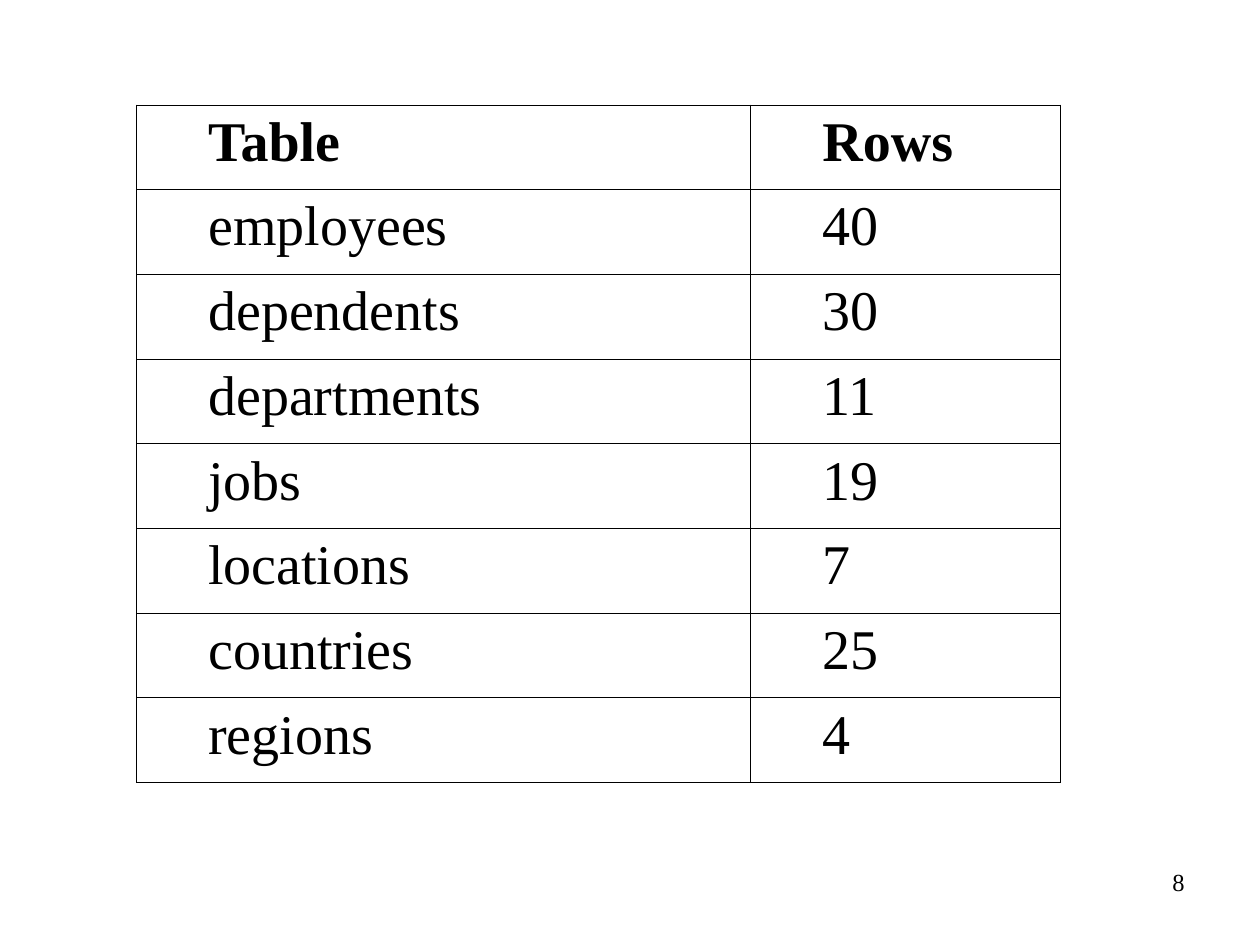
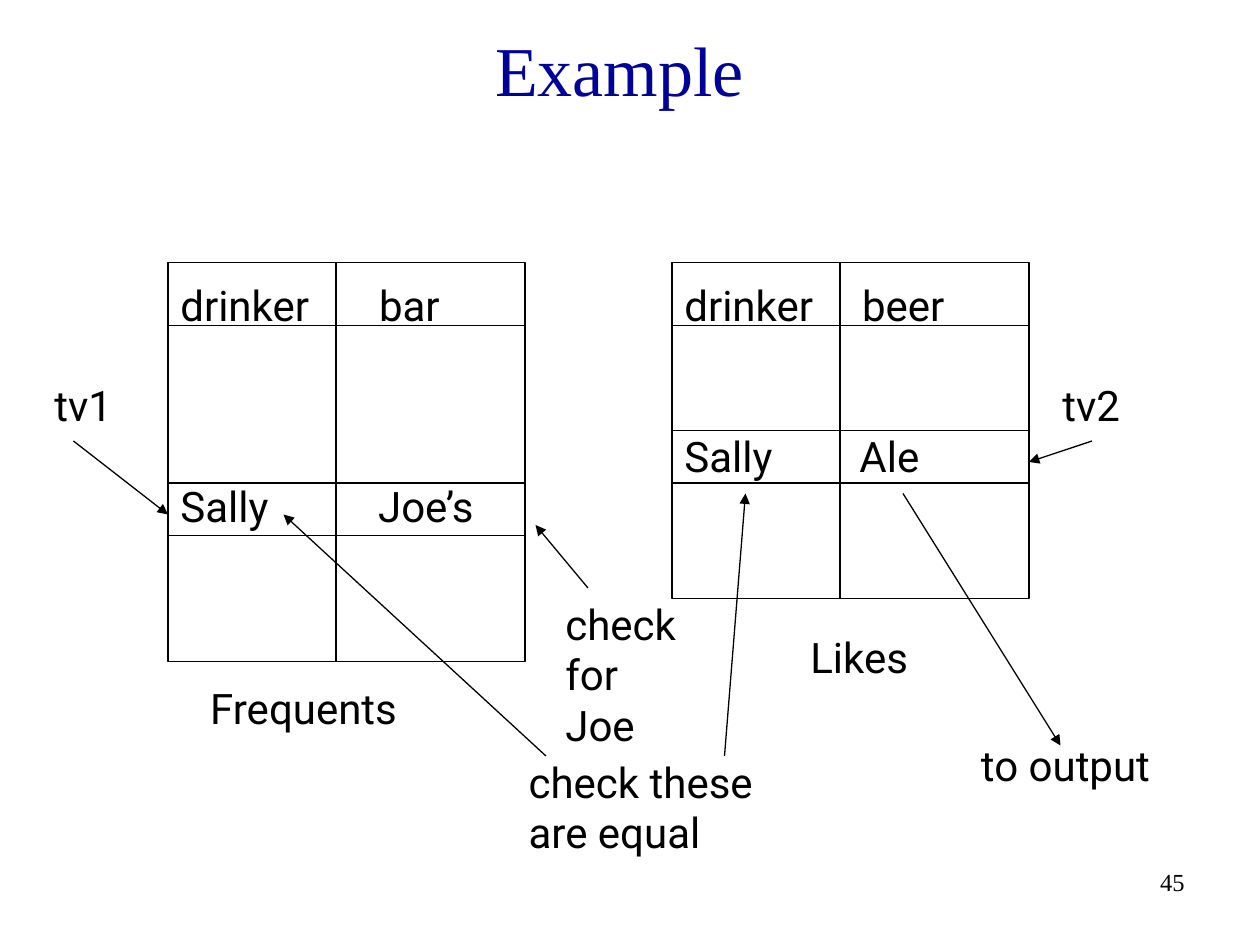
from lxml import etree
from pptx import Presentation
from pptx.dml.color import RGBColor
from pptx.enum import shapes, text
from pptx.oxml import ns
from pptx.util import Pt

BLACK, NAVY = "000000", "000099"
SERIF, SANS = "Times New Roman", "Roboto"
LINE_PITCH = 28.8

TABLE_ROWS = [
    ("Table", "Rows"),
    ("employees", "40"),
    ("dependents", "30"),
    ("departments", "11"),
    ("jobs", "19"),
    ("locations", "7"),
    ("countries", "25"),
    ("regions", "4"),
]

# FIELD_LINES: blank lines above, text before the first tab, (tab stop, text) pairs
FIELD_LINES = [
    (0, "", [(72, "drinker"), (185.5, "bar"), (360, "drinker"), (461.5, "beer")]),
    (1, "tv1", [(576, "tv2")]),
    (0, "", [(360, "Sally"), (460, "Ale")]),
    (0, "", [(72, "Sally"), (185, "Joe’s")]),
    (2, "", [(432, "Likes")]),
    (0, "", [(89, "Frequents")]),
]

ARROWS = [
    (42, 252, 96, 294),
    (624, 252, 588, 264),
    (516, 282, 606, 426),
    (312, 432, 162, 294),
    (414, 432, 426, 282),
    (336, 336, 306, 300),
]


def color(hex_code):
    return RGBColor.from_string(hex_code)


def add_xml(parent, tag, **attrs):
    return etree.SubElement(parent, ns.qn(tag), **attrs)


def add_run(p, words, font, size, hex_code=BLACK, bold=False):
    r = p.add_run()
    r.text = words
    r.font.name, r.font.size, r.font.bold = font, Pt(size), bold
    r.font.color.rgb = color(hex_code)


def add_box(s, x, y, w, h):
    tf = s.shapes.add_textbox(Pt(x), Pt(y), Pt(w), Pt(h)).text_frame
    tf.word_wrap = True
    return tf


def add_lines(s, x, y, w, h, lines, font=SANS, size=24, hex_code=BLACK,
              align=text.PP_ALIGN.LEFT, anchor=text.MSO_ANCHOR.TOP):
    tf = add_box(s, x, y, w, h)
    tf.vertical_anchor = anchor
    for i, line in enumerate(lines):
        p = tf.add_paragraph() if i else tf.paragraphs[0]
        p.alignment = align
        add_run(p, line, font, size, hex_code)


def add_page_number(s, number):
    add_lines(s, 534, 492, 150, 36, [number], SERIF, 14, align=text.PP_ALIGN.RIGHT)


def add_title(s, words):
    add_lines(s, 12, 12, 684, 54, [words], SERIF, 40, NAVY,
              text.PP_ALIGN.CENTER, text.MSO_ANCHOR.MIDDLE)


def add_tabbed_lines(s, x, y, w, h, lines):
    tf = add_box(s, x, y, w, h)
    for i, (blanks, lead, stops) in enumerate(lines):
        p = tf.add_paragraph() if i else tf.paragraphs[0]
        tabs = add_xml(p._p.get_or_add_pPr(), "a:tabLst")
        for pos, _ in stops:
            add_xml(tabs, "a:tab", pos=str(Pt(pos)), algn="l")
        if blanks:
            p.space_before = Pt(blanks * LINE_PITCH)
        add_run(p, "\t".join([lead] + [words for _, words in stops]), SANS, 24)


def add_line(s, x1, y1, x2, y2, arrow=False):
    c = s.shapes.add_connector(shapes.MSO_CONNECTOR.STRAIGHT,
                               Pt(x1), Pt(y1), Pt(x2), Pt(y2))
    c.line.color.rgb = color(BLACK)
    c.line.width = Pt(0.75)
    if arrow:
        add_xml(c.line._get_or_add_ln(), "a:tailEnd", type="triangle")
    add_xml(c._element.spPr, "a:effectLst")


def add_grid(s, x, y, w, h, row_lines, column_line):
    sp = s.shapes.add_shape(shapes.MSO_SHAPE.RECTANGLE, Pt(x), Pt(y), Pt(w), Pt(h))
    sp.shadow.inherit = False
    sp.fill.background()
    sp.line.color.rgb = color(BLACK)
    sp.line.width = Pt(0.75)
    for row_y in row_lines:
        add_line(s, x, row_y, x + w, row_y)
    add_line(s, column_line, y, column_line, y + h)


def border_cell(cell):
    tcPr = cell._tc.get_or_add_tcPr()
    for side in ("a:lnL", "a:lnR", "a:lnT", "a:lnB"):
        ln = add_xml(tcPr, side, w=str(Pt(0.45)))
        add_xml(add_xml(ln, "a:solidFill"), "a:srgbClr", val=BLACK)


def add_table(s, x, y, widths, row_height, rows):
    table = s.shapes.add_table(len(rows), len(widths), Pt(x), Pt(y), Pt(sum(widths)),
                               Pt(row_height * len(rows))).table
    for column, width in zip(table.columns, widths):
        column.width = Pt(width)
    for i, values in enumerate(rows):
        table.rows[i].height = Pt(row_height)
        for j, value in enumerate(values):
            cell = table.cell(i, j)
            cell.margin_left = cell.margin_right = Pt(5)
            border_cell(cell)
            cell.fill.background()
            p = cell.text_frame.paragraphs[0]
            p._p.get_or_add_pPr().set("marL", str(Pt(36)))
            add_run(p, value, SERIF, 32, bold=i == 0)


def main():
    prs = Presentation()
    prs.slide_width, prs.slide_height = Pt(720), Pt(540)
    blank = prs.slide_layouts[6]

    s = prs.slides.add_slide(blank)
    add_page_number(s, "8")
    add_table(s, 78, 60, (351, 177), 48.4, TABLE_ROWS)

    s = prs.slides.add_slide(blank)
    add_page_number(s, "45")
    add_title(s, "Example")
    add_tabbed_lines(s, 24, 156, 666, 266, FIELD_LINES)
    add_grid(s, 96, 150, 204, 228, (186, 276, 306), 192)
    add_grid(s, 384, 150, 204, 192, (186, 246, 276), 480)
    add_lines(s, 553.5, 419, 125, 36, ["to output"])
    add_lines(s, 295, 428.5, 147, 65, ["check these", "are equal"])
    add_lines(s, 316, 338.5, 86, 94, ["check", "for Joe"])
    for arrow in ARROWS:
        add_line(s, *arrow, arrow=True)

    prs.save("out.pptx")


if __name__ == "__main__":
    main()
